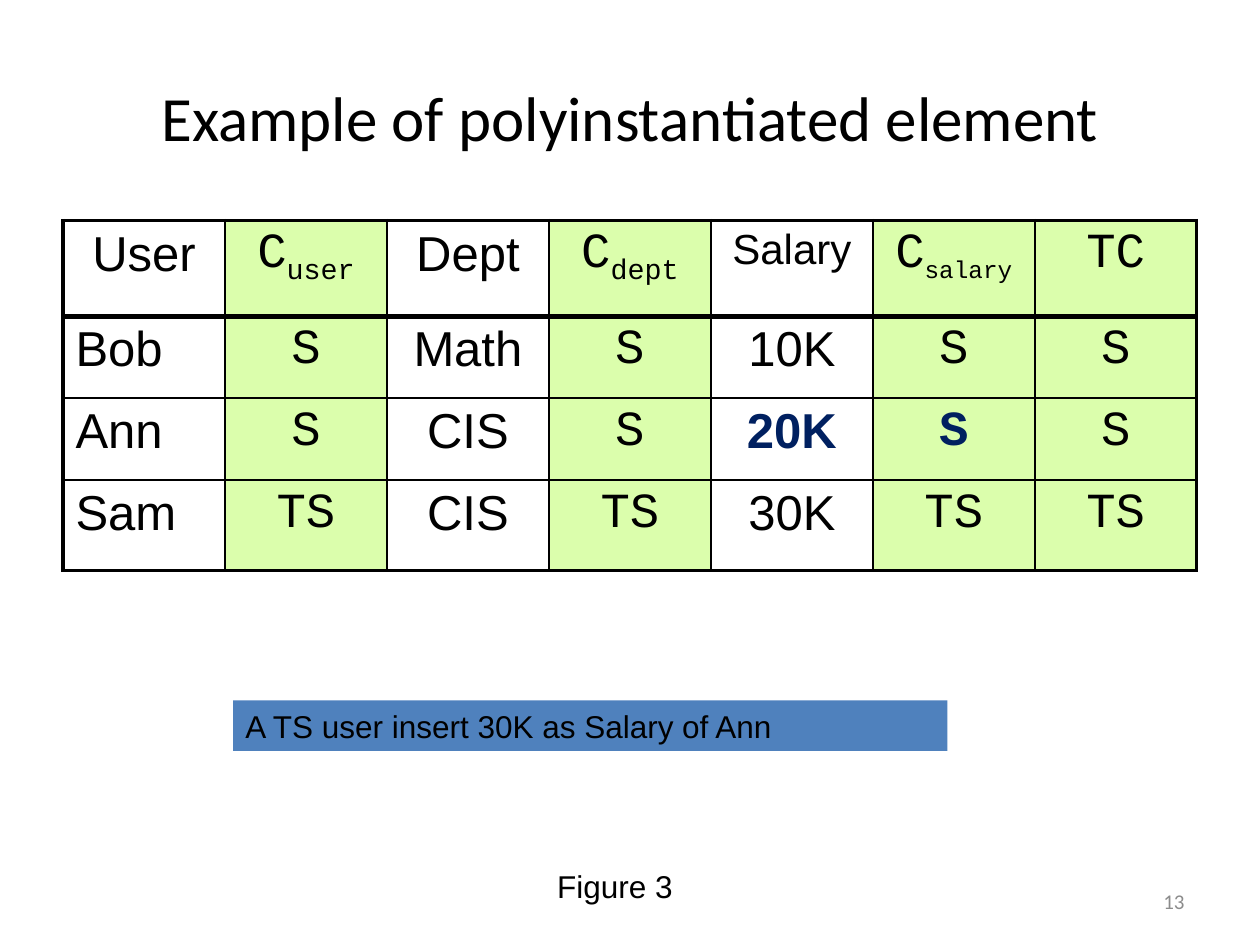
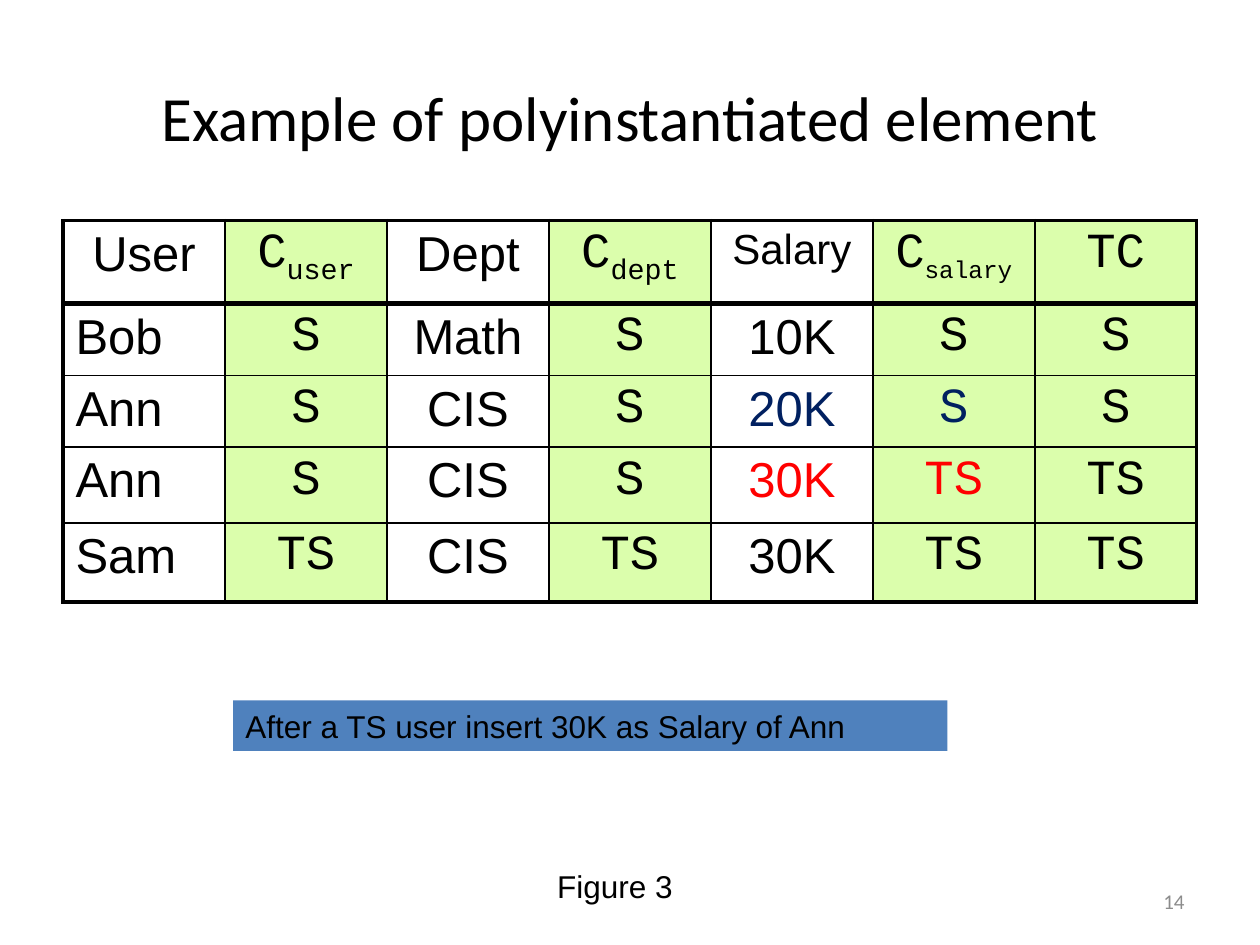
from lxml.etree import SubElement
from pptx import Presentation
from pptx.dml.color import RGBColor
from pptx.enum.shapes import MSO_SHAPE
from pptx.enum.text import MSO_ANCHOR, PP_ALIGN
from pptx.oxml.ns import qn
from pptx.util import Inches, Pt

COLORS = {
    "black": "000000",
    "label": "DBFEAC",
    "banner": "4F81BD",
    "number": "8C8C8C",
    "navy": "002060",
    "red": "FF0000",
}
HEADER = ["User", "C_user", "Dept", "C_dept", "Salary", "C_salary", "TC"]
BOB = ["Bob", "S", "Math", "S", "10K", "S", "S"]
ANN = ["Ann", "S", "CIS", "S", "20K", "S", "S"]
ANN_TS = ["Ann", "S", "CIS", "S", "30K", "TS", "TS"]
SAM = ["Sam", "TS", "CIS", "TS", "30K", "TS", "TS"]
LABEL_COLUMNS = {1, 3, 5, 6}
SALARY_COLUMNS = {4, 5}
THIN, OUTER, UNDER_HEADER = 1, 2.25, 3


def rgb(name):
    return RGBColor.from_string(COLORS[name])


def style_paragraph(p, size, font="Arial", color="black", align=PP_ALIGN.LEFT, bold=False):
    p.alignment = align
    p.font.size = Pt(size)
    p.font.name = font
    p.font.color.rgb = rgb(color)
    p.font.bold = bold


def fill_text(sp, text, size, anchor=MSO_ANCHOR.TOP, **style):
    tf = sp.text_frame
    tf.word_wrap = True
    tf.vertical_anchor = anchor
    p = tf.paragraphs[0]
    p.text = text
    style_paragraph(p, size, **style)


def add_text(slide, box, text, size, **style):
    sp = slide.shapes.add_textbox(*map(Inches, box))
    fill_text(sp, text, size, **style)


def add_banner(slide, text):
    box = map(Inches, (1.85, 5.56, 5.67, 0.4))
    sp = slide.shapes.add_shape(MSO_SHAPE.RECTANGLE, *box)
    sp.shadow.inherit = False
    sp.fill.solid()
    sp.fill.fore_color.rgb = rgb("banner")
    sp.line.fill.background()
    fill_text(sp, text, 18)


def set_borders(cell, left, right, top, bottom):
    """Draw the four black cell borders with widths in points."""
    tc_pr = cell._tc.get_or_add_tcPr()
    for side, width in zip("LRTB", (left, right, top, bottom)):
        ln = SubElement(tc_pr, qn(f"a:ln{side}"), w=str(Pt(width)))
        fill = SubElement(ln, qn("a:solidFill"))
        SubElement(fill, qn("a:srgbClr"), val=COLORS["black"])


def fill_cell(cell, text, row, col, color, bold):
    """Write a cell; the part after an underscore becomes a subscript."""
    p = cell.text_frame.paragraphs[0]
    base, _, subscript = text.partition("_")
    p.add_run().text = base
    if subscript:
        r = p.add_run()
        r.text = subscript
        r.font._element.set("baseline", "-25000")
        if subscript == "salary":
            r.font.size = Pt(24)
    style_paragraph(
        p,
        24 if text == "Salary" else 28,
        font="Courier New" if col in LABEL_COLUMNS else "Arial",
        color=color,
        align=PP_ALIGN.LEFT if col == 0 and row > 0 else PP_ALIGN.CENTER,
        bold=bold,
    )


def add_relation(slide, rows, heights, salary_colors, bold_salary):
    """salary_colors maps a row number to the colour of its salary and label."""
    rows = [HEADER] + rows
    n_rows, n_cols = len(rows), len(HEADER)
    frame = slide.shapes.add_table(
        n_rows, n_cols, Inches(0.5), Inches(1.75), Inches(9), Inches(sum(heights)))
    table = frame.table
    table.first_row = table.horz_banding = False
    for column in table.columns:
        column.width = Inches(9 / n_cols)
    edges_x = [OUTER] + [THIN] * (n_cols - 1) + [OUTER]
    edges_y = [OUTER, UNDER_HEADER] + [THIN] * (n_rows - 2) + [OUTER]
    for i, (values, height) in enumerate(zip(rows, heights)):
        table.rows[i].height = Inches(height)
        for j, text in enumerate(values):
            cell = table.cell(i, j)
            marked = i in salary_colors and j in SALARY_COLUMNS
            color = salary_colors[i] if marked else "black"
            fill_cell(cell, text, i, j, color, marked and bold_salary)
            set_borders(cell, edges_x[j], edges_x[j + 1], edges_y[i], edges_y[i + 1])
            if j in LABEL_COLUMNS:
                cell.fill.solid()
                cell.fill.fore_color.rgb = rgb("label")
            else:
                cell.fill.background()


def add_example(prs, number, banner, rows, heights, salary_colors, bold_salary=False):
    slide = prs.slides.add_slide(prs.slide_layouts[6])
    add_text(slide, (0.5, 0.3, 9, 1.25), "Example of polyinstantiated element", 36,
             font="Calibri", align=PP_ALIGN.CENTER, anchor=MSO_ANCHOR.MIDDLE)
    add_relation(slide, rows, heights, salary_colors, bold_salary)
    add_text(slide, (3.67, 6.83, 2.42, 0.4), "Figure 3", 18, align=PP_ALIGN.CENTER)
    add_banner(slide, banner)
    add_text(slide, (7.17, 6.95, 2.33, 0.4), str(number), 12, font="Calibri",
             color="number", align=PP_ALIGN.RIGHT, anchor=MSO_ANCHOR.MIDDLE)


def main():
    prs = Presentation()
    prs.slide_width, prs.slide_height = Inches(10), Inches(7.5)
    add_example(prs, 13, "A TS user insert 30K as Salary of Ann",
                [BOB, ANN, SAM], [0.76, 0.65, 0.65, 0.72],
                {2: "navy"}, bold_salary=True)
    add_example(prs, 14, "After a TS user insert 30K as Salary of Ann",
                [BOB, ANN, ANN_TS, SAM], [0.66, 0.57, 0.57, 0.6, 0.63],
                {2: "navy", 3: "red"})
    prs.save("out.pptx")


if __name__ == "__main__":
    main()
